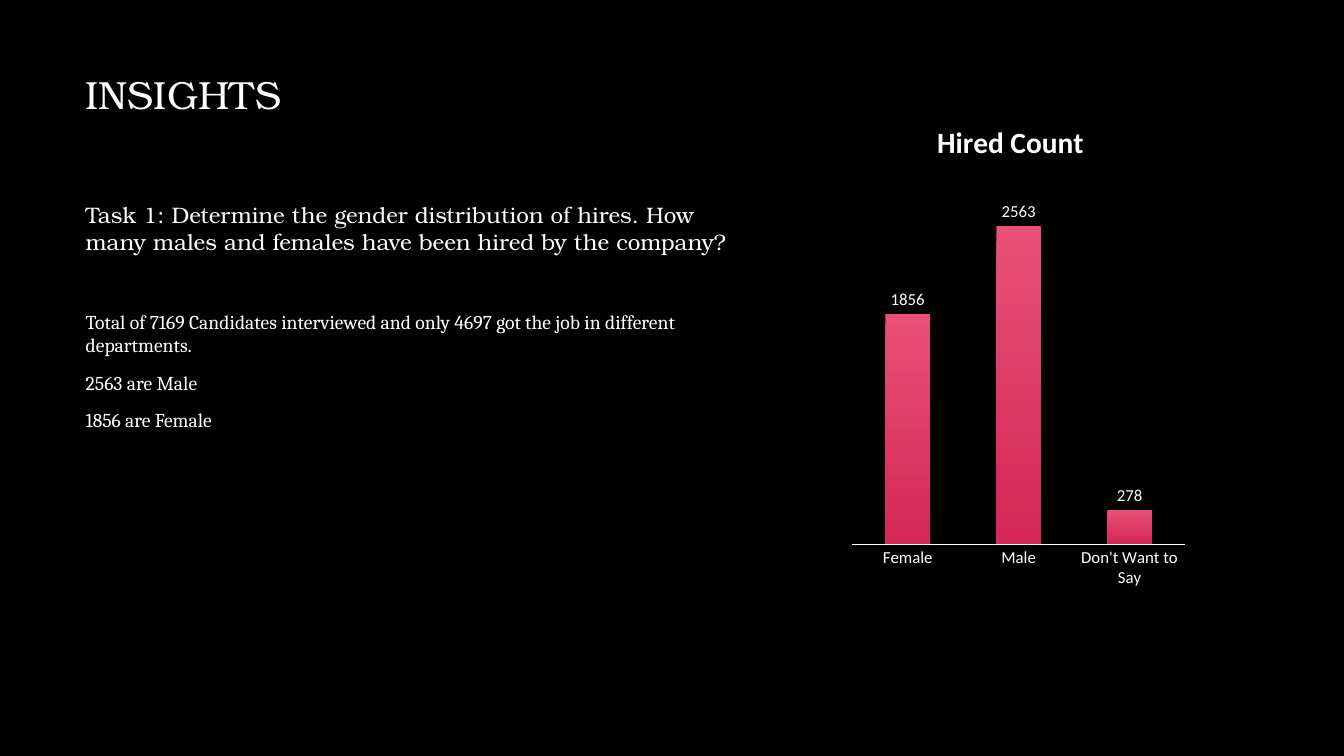
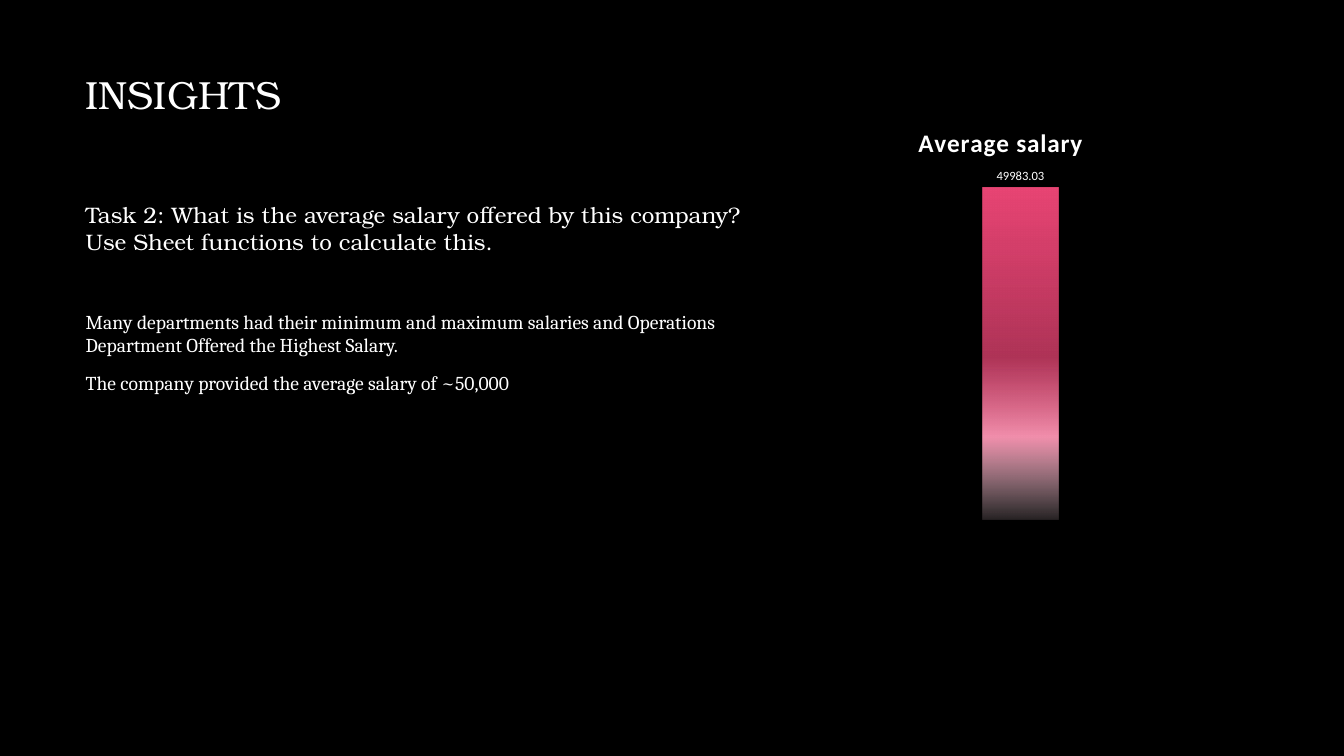
import lxml.etree
import pptx
import pptx.chart.data
import pptx.dml.color
import pptx.enum.chart
import pptx.enum.text
import pptx.oxml.ns
import pptx.util

Cm = pptx.util.Cm
Pt = pptx.util.Pt
qn = pptx.oxml.ns.qn

BLACK = "000000"
WHITE = "FFFFFF"
HEAD_FONT = "TeX Gyre Bonum"
BODY_FONT = "Cambria"
CHART_FONT = "Calibri"
TEXT_LEFT, TEXT_WIDTH = Cm(1.91), Cm(17.12)
TITLE_AREA = (TEXT_LEFT, Cm(1.49), TEXT_WIDTH, Cm(1.6))
BODY_AREA = (TEXT_LEFT, Cm(4.95), TEXT_WIDTH, Cm(8.41))
CHART_AREA = (Cm(20.93), Cm(2.54), Cm(9.12), Cm(12.7))

SLIDES = [
    {
        "task": "Task 1: Determine the gender distribution of hires. "
                "How many males and females have been hired by the company?",
        "findings": [
            "Total of 7169 Candidates interviewed and only 4697 got the job "
            "in different departments.",
            "2563 are Male",
            "1856 are Female",
        ],
        "chart": {
            "title": "Hired Count", "title_size": 21, "title_spacing": 0,
            "title_at": (0.28, 0.03), "plot_at": (0.057, 0.139, 0.924, 0.744),
            "categories": ["Female", "Male", "Don't Want to Say"],
            "values": [1856, 2563, 278], "maximum": 3000,
            "gap": 150, "overlap": 0, "label_size": 12, "format": "General",
            "show_categories": True,
            "stops": [(0, "E84F79", 100), (100, "D32859", 100)],
        },
    },
    {
        "task": "Task 2: What is the average salary offered by this company? "
                "Use Sheet functions to calculate this.",
        "findings": [
            "Many departments had their minimum and maximum salaries and "
            "Operations Department Offered the Highest Salary.",
            "The company provided the average salary of ~50,000",
        ],
        "chart": {
            "title": "Average salary", "title_size": 18, "title_spacing": 60,
            "title_at": (0.23, 0.04), "plot_at": (0.046, 0.039, 0.952, 0.792),
            "categories": ["1"],
            "values": [49983.03], "maximum": 60000,
            "gap": 355, "overlap": -70, "label_size": 9, "format": "0.00",
            "show_categories": False,
            "stops": [(0, "E84574", 100), (51, "E84574", 75),
                      (75, "F18FAC", 100), (100, "FADAE3", 15)],
        },
    },
]


def colour(code):
    """Turn a hex string into a colour."""
    return pptx.dml.color.RGBColor.from_string(code)


def style_font(font, name, size, bold=False):
    """Set a white font of the given face and size."""
    font.name = name
    font.size = Pt(size)
    font.bold = bold
    font.color.rgb = colour(WHITE)


def add_text(page, area, entries, anchor):
    """Add a wrapped text box; entries are (text, font, size, space after)."""
    frame = page.shapes.add_textbox(*area).text_frame
    frame.word_wrap = True
    frame.vertical_anchor = anchor
    for index, (text, font, size, after) in enumerate(entries):
        para = frame.add_paragraph() if index else frame.paragraphs[0]
        para.text = text
        para.space_after = Pt(after)
        for span in para.runs:
            style_font(span.font, font, size)


def place(parent, position, index, inner=False):
    """Give a chart part a manual layout in fractions of the chart."""
    for old in parent.findall(qn("c:layout")):
        parent.remove(old)
    layout = lxml.etree.Element(qn("c:layout"))
    parent.insert(index, layout)
    manual = lxml.etree.SubElement(layout, qn("c:manualLayout"))
    settings = [("layoutTarget", "inner")] if inner else []
    settings += [("xMode", "edge"), ("yMode", "edge")]
    settings += zip("xywh", [round(part, 2) for part in position])
    for tag, value in settings:
        lxml.etree.SubElement(manual, qn("c:" + tag)).set("val", str(value))


def fill_gradient(chart, stops):
    """Fill the series from top to bottom; stops are (percent, hex, opacity)."""
    chart.series[0].format.fill.solid()
    properties = chart.element.find(".//" + qn("c:ser")).find(qn("c:spPr"))
    properties.remove(properties.find(qn("a:solidFill")))
    gradient = lxml.etree.Element(qn("a:gradFill"))
    properties.insert(0, gradient)
    stop_list = lxml.etree.SubElement(gradient, qn("a:gsLst"))
    for percent, code, opacity in stops:
        stop = lxml.etree.SubElement(stop_list, qn("a:gs"), pos=str(percent * 1000))
        tint = lxml.etree.SubElement(stop, qn("a:srgbClr"), val=code)
        if opacity < 100:
            lxml.etree.SubElement(tint, qn("a:alpha"), val=str(opacity * 1000))
    lxml.etree.SubElement(gradient, qn("a:lin"), ang="5400000", scaled="0")


def add_chart_title(chart, info):
    """Write and place the chart title."""
    chart.has_title = True
    title = chart.chart_title
    title.include_in_layout = False
    para = title.text_frame.paragraphs[0]
    para.text = info["title"]
    span = para.runs[0]
    style_font(span.font, CHART_FONT, info["title_size"], bold=True)
    span.font._element.set("spc", str(info["title_spacing"]))
    place(title.element, info["title_at"], 1)


def style_axes(chart, info):
    """Hide the value axis and show the category axis where wanted."""
    value_axis = chart.value_axis
    value_axis.visible = False
    value_axis.has_major_gridlines = False
    value_axis.minimum_scale = 0
    value_axis.maximum_scale = info["maximum"]
    category_axis = chart.category_axis
    category_axis.visible = info["show_categories"]
    category_axis.major_tick_mark = pptx.enum.chart.XL_TICK_MARK.NONE
    style_font(category_axis.tick_labels.font, CHART_FONT, 12)
    category_axis.format.line.color.rgb = colour(WHITE)
    category_axis.format.line.width = Pt(1)


def add_labels(plot, info):
    """Show the values above the columns."""
    plot.has_data_labels = True
    labels = plot.data_labels
    labels.show_value = True
    labels.position = pptx.enum.chart.XL_LABEL_POSITION.OUTSIDE_END
    labels.number_format = info["format"]
    labels.number_format_is_linked = False
    style_font(labels.font, CHART_FONT, info["label_size"])


def add_column_chart(page, info):
    """Add the column chart on the right."""
    data = pptx.chart.data.CategoryChartData()
    data.categories = info["categories"]
    data.add_series("Series 1", info["values"])
    kind = pptx.enum.chart.XL_CHART_TYPE.COLUMN_CLUSTERED
    chart = page.shapes.add_chart(kind, *CHART_AREA, data).chart
    chart.has_legend = False
    style_font(chart.font, CHART_FONT, 10)
    plot = chart.plots[0]
    plot.vary_by_categories = False
    plot.gap_width = info["gap"]
    plot.overlap = info["overlap"]
    add_chart_title(chart, info)
    style_axes(chart, info)
    add_labels(plot, info)
    fill_gradient(chart, info["stops"])
    place(chart.element.find(".//" + qn("c:plotArea")), info["plot_at"], 0, inner=True)


def add_insight(deck, content):
    """Add one slide with its title, task, findings and chart."""
    page = deck.slides.add_slide(deck.slide_layouts[6])
    anchors = pptx.enum.text.MSO_ANCHOR
    add_text(page, TITLE_AREA, [("INSIGHTS", HEAD_FONT, 28, 0)], anchors.BOTTOM)
    entries = [(content["task"], HEAD_FONT, 16, 39)]
    entries += [(text, BODY_FONT, 14, 10) for text in content["findings"]]
    add_text(page, BODY_AREA, entries, anchors.TOP)
    add_column_chart(page, content["chart"])


def main():
    """Build the deck and save it."""
    deck = pptx.Presentation()
    deck.slide_width, deck.slide_height = Cm(33.87), Cm(19.05)
    backdrop = deck.slide_master.background.fill
    backdrop.solid()
    backdrop.fore_color.rgb = colour(BLACK)
    for content in SLIDES:
        add_insight(deck, content)
    deck.save("out.pptx")


main()
